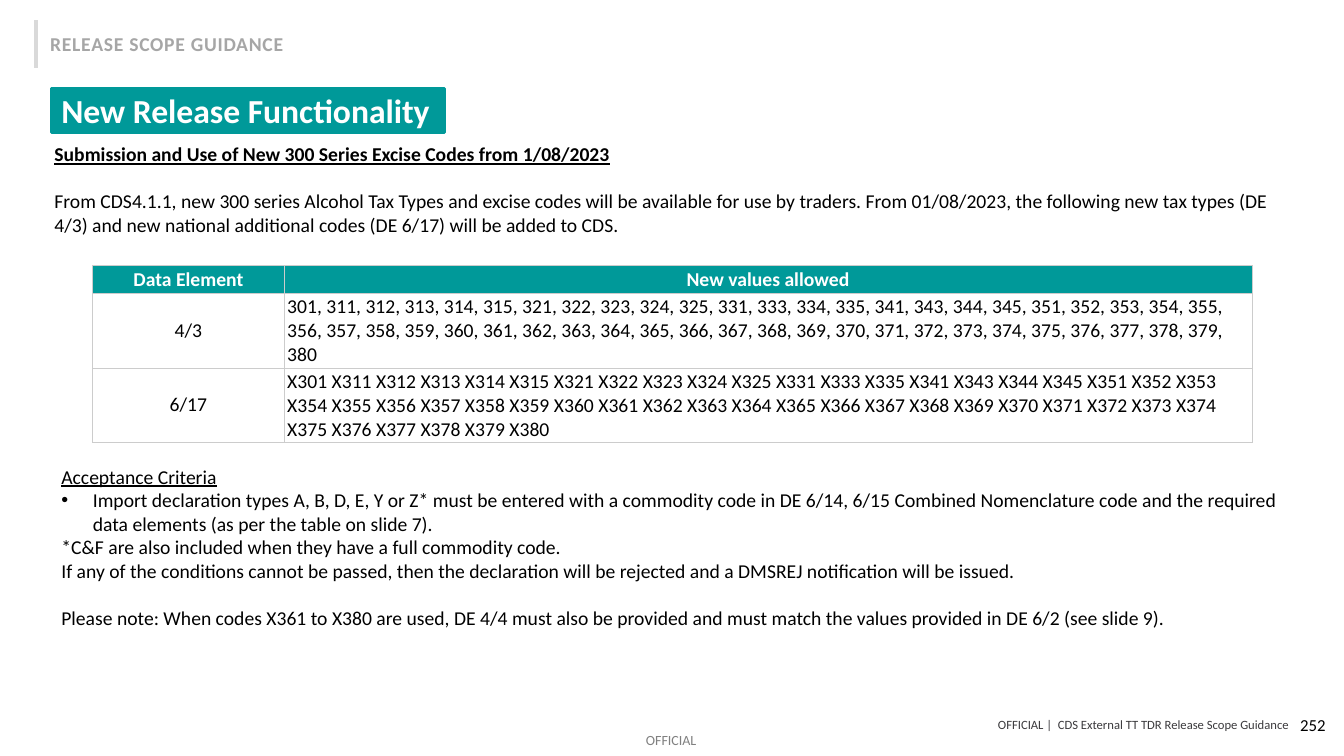
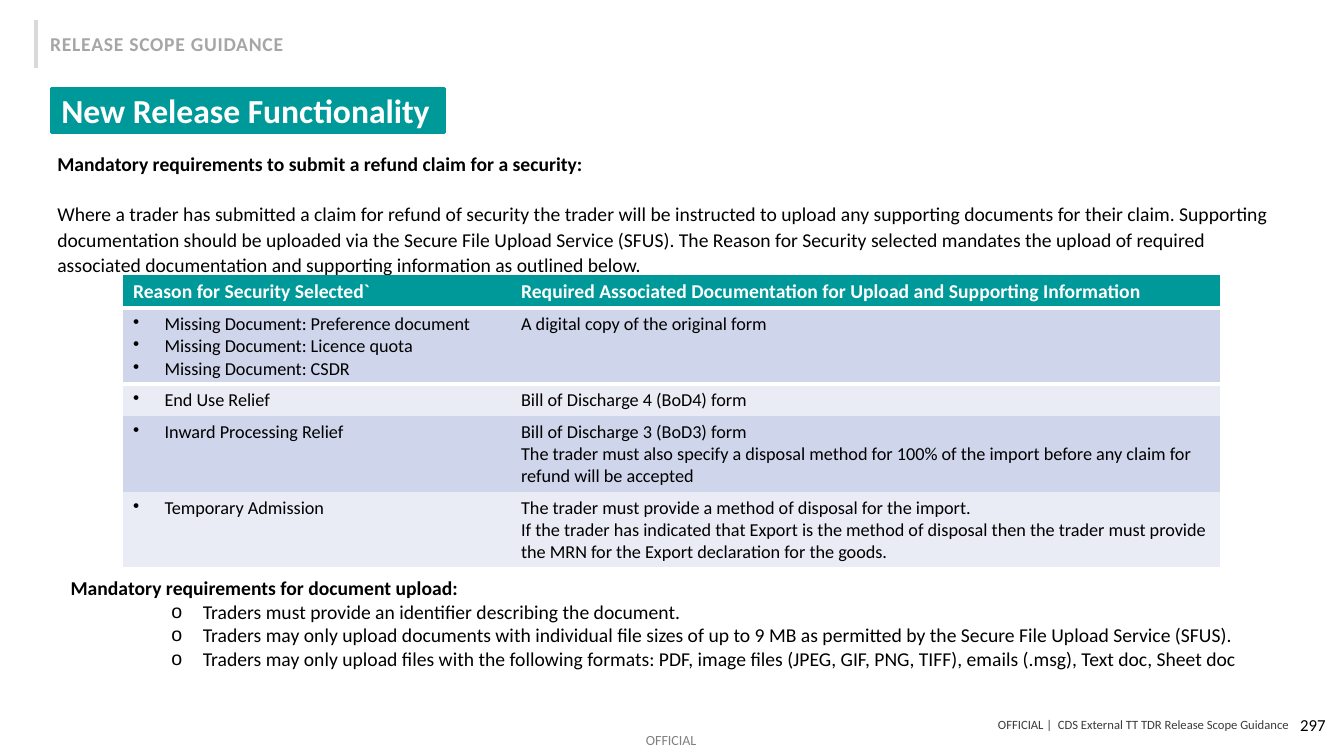
import dataclasses

import lxml.etree
import pptx
import pptx.dml.color
import pptx.enum.shapes
import pptx.enum.text
import pptx.oxml.ns
import pptx.util

COLUMNS, ROWS = 160, 90
COLORS = {
    "teal": "009999",
    "white": "FFFFFF",
    "black": "000000",
    "rule": "D9D9D9",
    "section": "A6A6A6",
    "footer": "3B3A3D",
    "marking": "808080",
    "grid": "CCCCCC",
    "band_dark": "CFD5EA",
    "band_light": "E9EBF5",
}
FONT = "Calibri"
NO_STYLE_TABLE = "{2D5ABB26-0587-4C30-8999-92F81FD0307C}"
HANG = 3.75
LEFT = pptx.enum.text.PP_ALIGN.LEFT
CENTER = pptx.enum.text.PP_ALIGN.CENTER
RIGHT = pptx.enum.text.PP_ALIGN.RIGHT
TOP = pptx.enum.text.MSO_ANCHOR.TOP
MIDDLE = pptx.enum.text.MSO_ANCHOR.MIDDLE


@dataclasses.dataclass
class Line:
    """One paragraph; indent is in grid columns, before in points."""
    text: str
    bold: bool = False
    underline: bool = False
    bullet: str = ""
    indent: float = 0
    before: float = 0


def bullet_line(text, bullet="•", indent=HANG):
    return Line(text, bullet=bullet, indent=indent)


def rgb(color):
    return pptx.dml.color.RGBColor.from_string(COLORS[color])


def add_element(parent, tag, **attributes):
    element = lxml.etree.SubElement(parent, pptx.oxml.ns.qn(tag))
    for name, value in attributes.items():
        element.set(name, str(value))
    return element


class Deck:
    """Holds the style and the slide being built."""

    def __init__(self):
        self.presentation = pptx.Presentation()
        self.presentation.slide_width = pptx.util.Inches(13.33)
        self.presentation.slide_height = pptx.util.Inches(7.5)
        self.slide = None

    def across(self, columns):
        return round(self.presentation.slide_width * columns / COLUMNS)

    def down(self, rows):
        return round(self.presentation.slide_height * rows / ROWS)

    def box(self, left, top, width, height):
        return self.across(left), self.down(top), self.across(width), self.down(height)

    def place(self, shape, area):
        shape.left, shape.top, shape.width, shape.height = self.box(*area)

    def set_lines(self, text_frame, lines, size=14, color="black", align=LEFT, spacing=1.0):
        text_frame.text = "\n".join(line.text for line in lines)
        for paragraph, line in zip(text_frame.paragraphs, lines):
            properties = paragraph._p.get_or_add_pPr()
            properties.set("marL", str(self.across(line.indent)))
            properties.set("indent", str(-self.across(HANG) if line.bullet else 0))
            if line.bullet:
                add_element(properties, "a:buChar", char=line.bullet)
            else:
                add_element(properties, "a:buNone")
            paragraph.alignment = align
            paragraph.line_spacing = spacing
            paragraph.space_before = pptx.util.Pt(line.before)
            for run in paragraph.runs:
                run.font.name = FONT
                run.font.size = pptx.util.Pt(size)
                run.font.bold = line.bold
                run.font.underline = line.underline
                run.font.color.rgb = rgb(color)

    def text(self, area, lines, anchor=TOP, wrap=True, inset=True, **style):
        text_frame = self.slide.shapes.add_textbox(*self.box(*area)).text_frame
        text_frame.word_wrap = wrap
        text_frame.vertical_anchor = anchor
        if not inset:
            text_frame.margin_left = text_frame.margin_right = 0
            text_frame.margin_top = text_frame.margin_bottom = 0
        self.set_lines(text_frame, lines, **style)
        return text_frame

    def rule(self, column, top, bottom):
        connector = self.slide.shapes.add_connector(
            pptx.enum.shapes.MSO_CONNECTOR.STRAIGHT,
            self.across(column), self.down(top), self.across(column), self.down(bottom))
        connector.line.color.rgb = rgb("rule")
        connector.line.width = pptx.util.Pt(3)
        add_element(connector.element.spPr, "a:effectLst")

    def title(self, text):
        title = self.slide.shapes.title
        self.place(title, (6.1, 10.5, 46.8, 5.3))
        title.fill.solid()
        title.fill.fore_color.rgb = rgb("teal")
        title.line.color.rgb = rgb("teal")
        title.line.width = pptx.util.Pt(2)
        text_frame = title.text_frame
        text_frame.auto_size = pptx.enum.text.MSO_AUTO_SIZE.NONE
        text_frame.vertical_anchor = MIDDLE
        text_frame.margin_top = text_frame.margin_bottom = 0
        self.set_lines(text_frame, [Line(text, bold=True)], size=24, color="white")

    def body(self, area, lines):
        body = self.slide.placeholders[1]
        self.place(body, area)
        body.text_frame.auto_size = pptx.enum.text.MSO_AUTO_SIZE.NONE
        self.set_lines(body.text_frame, lines)

    def new_slide(self, title, number):
        """Start a slide with the title, section label and footers in place."""
        layout = self.presentation.slide_layouts.get_by_name("Title and Content")
        self.slide = self.presentation.slides.add_slide(layout)
        self.title(title)
        self.rule(4.26, 2.4, 8.04)
        section = self.text((4.8, 3.24, 30.5, 4.08),
                            [Line("RELEASE SCOPE GUIDANCE", bold=True)],
                            wrap=False, color="section")
        section.paragraphs[0].runs[0]._r.get_or_add_rPr().set("spc", "50")
        self.text((38.6, 85.3, 114.8, 1.9),
                  [Line("OFFICIAL |  CDS External TT TDR Release Scope Guidance")],
                  anchor=MIDDLE, inset=False, size=9, color="footer", align=RIGHT)
        self.text((76.9, 87.1, 6.4, 2), [Line("OFFICIAL")],
                  wrap=False, inset=False, size=10, color="marking")
        self.text((123, 83.9, 36, 4.8), [Line(str(number))],
                  anchor=MIDDLE, size=12, align=RIGHT)

    def table(self, left, top, widths, heights):
        area = self.box(left, top, sum(widths), sum(heights))
        frame = self.slide.shapes.add_table(len(heights), len(widths), *area)
        for style in frame.element.iter(pptx.oxml.ns.qn("a:tableStyleId")):
            style.text = NO_STYLE_TABLE
        table = frame.table
        for column, width in zip(table.columns, widths):
            column.width = self.across(width)
        for row, height in zip(table.rows, heights):
            row.height = self.down(height)
        return table

    def cell(self, cell, lines, fill, borders, anchor=TOP, inset=None, **style):
        """Fill a cell; borders maps sides L, R, T, B to (colour, points)."""
        properties = cell._tc.get_or_add_tcPr()
        for side, (color, points) in borders.items():
            border = add_element(properties, "a:ln" + side, w=pptx.util.Pt(points))
            solid = add_element(border, "a:solidFill")
            add_element(solid, "a:srgbClr", val=COLORS[color])
        cell.fill.solid()
        cell.fill.fore_color.rgb = rgb(fill)
        cell.vertical_anchor = anchor
        if inset:
            cell.margin_left = cell.margin_right = pptx.util.Inches(inset[0])
            cell.margin_top = cell.margin_bottom = pptx.util.Inches(inset[1])
        self.set_lines(cell.text_frame, lines, **style)


def excise_codes_slide(deck):
    deck.new_slide("New Release Functionality", 252)
    deck.text((5.3, 16.3, 148.1, 12.5), [
        Line("Submission and Use of New 300 Series Excise Codes from 1/08/2023",
             bold=True, underline=True),
        Line("From CDS4.1.1, new 300 series Alcohol Tax Types and excise codes will be "
             "available for use by traders. From 01/08/2023, the following new tax types "
             "(DE 4/3) and new national additional codes (DE 6/17) will be added to CDS.",
             before=17),
    ])
    tax_types = [301, *range(311, 316), *range(321, 326), 331, 333, 334, 335, 341,
                 *range(343, 346), *range(351, 381)]
    rows = [
        ("Data Element", "New values allowed"),
        ("4/3", ", ".join(str(code) for code in tax_types)),
        ("6/17", " ".join(f"X{code}" for code in tax_types if code != 334)),
    ]
    table = deck.table(11.04, 31.6, [22.8, 115.2], [3.3, 8.9, 8.9])
    borders = {side: ("grid", 0.5) for side in "LRTB"}
    for row, texts in enumerate(rows):
        header = row == 0
        for column, text in enumerate(texts):
            deck.cell(table.cell(row, column), [Line(text, bold=header)],
                      "teal" if header else "white", borders,
                      anchor=MIDDLE, inset=(0.03, 0.02),
                      color="white" if header else "black",
                      align=CENTER if header or column == 0 else LEFT)
    deck.body((6.1, 54.7, 148.1, 21), [
        Line("Acceptance Criteria", underline=True),
        bullet_line("Import declaration types A, B, D, E, Y or Z* must be entered with a "
                    "commodity code in DE 6/14, 6/15 Combined Nomenclature code and the "
                    "required data elements (as per the table on slide 7)."),
        Line("*C&F are also included when they have a full commodity code."),
        Line("If any of the conditions cannot be passed, then the declaration will be "
             "rejected and a DMSREJ notification will be issued."),
        Line("Please note: When codes X361 to X380 are used, DE 4/4 must also be provided "
             "and must match the values provided in DE 6/2 (see slide 9).", before=17),
    ])


def refund_claim_slide(deck):
    deck.new_slide("New Release Functionality", 297)
    deck.text((5.64, 17.3, 148.4, 16.2), [
        Line("Mandatory requirements to submit a refund claim for a security:", bold=True),
        Line("Where a trader has submitted a claim for refund of security the trader will "
             "be instructed to upload any supporting documents for their claim. Supporting "
             "documentation should be uploaded via the Secure File Upload Service (SFUS). "
             "The Reason for Security selected mandates the upload of required associated "
             "documentation and supporting information as outlined below.", before=18),
    ], spacing=1.07)
    headings = ["Reason for Security Selected`",
                "Required Associated Documentation for Upload and Supporting Information"]
    requirements = [
        (["Missing Document: Preference document", "Missing Document: Licence quota",
          "Missing Document: CSDR"],
         ["A digital copy of the original form"]),
        (["End Use Relief"], ["Bill of Discharge 4 (BoD4) form"]),
        (["Inward Processing Relief"],
         ["Bill of Discharge 3 (BoD3) form",
          "The trader must also specify a disposal method for 100% of the import before "
          "any claim for refund will be accepted"]),
        (["Temporary Admission"],
         ["The trader must provide a method of disposal for the import.",
          "If the trader has indicated that Export is the method of disposal then the "
          "trader must provide the MRN for the Export declaration for the goods."]),
    ]
    table = deck.table(14.64, 32.7, [46.2, 84.4], [3.7, 8.3, 3.5, 8.3, 8.6])
    divider = ("white", 3)
    for column, heading in enumerate(headings):
        deck.cell(table.cell(0, column), [Line(heading, bold=True)], "teal",
                  {"B": divider}, color="white")
    for row, (reasons, documents) in enumerate(requirements, start=1):
        fill = "band_dark" if row % 2 else "band_light"
        borders = {"T": divider} if row == 1 else {}
        deck.cell(table.cell(row, 0), [bullet_line(reason) for reason in reasons],
                  fill, borders, size=13)
        deck.cell(table.cell(row, 1), [Line(document) for document in documents],
                  fill, borders, size=13)
    upload_rules = [
        "Traders must provide an identifier describing the document.",
        "Traders may only upload documents with individual file sizes of up to 9 MB as "
        "permitted by the Secure File Upload Service (SFUS).",
        "Traders may only upload files with the following formats: PDF, image files "
        "(JPEG, GIF, PNG, TIFF), emails (.msg), Text doc, Sheet doc",
    ]
    deck.body((1.2, 68, 150.1, 12.5), [
        Line("Mandatory requirements for document upload:", bold=True, indent=6),
        *(bullet_line(upload_rule, "o", 21.75) for upload_rule in upload_rules),
    ])


def main():
    deck = Deck()
    excise_codes_slide(deck)
    refund_claim_slide(deck)
    deck.presentation.save("out.pptx")


if __name__ == "__main__":
    main()
